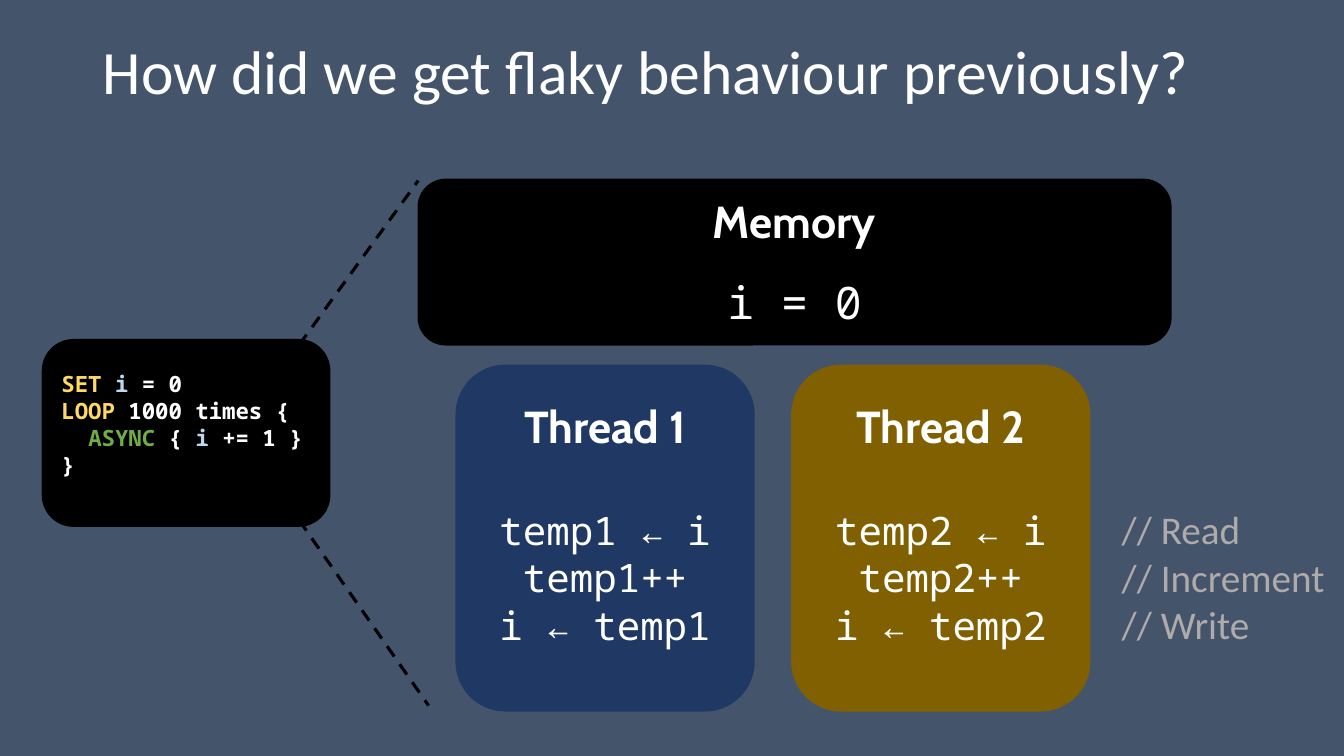
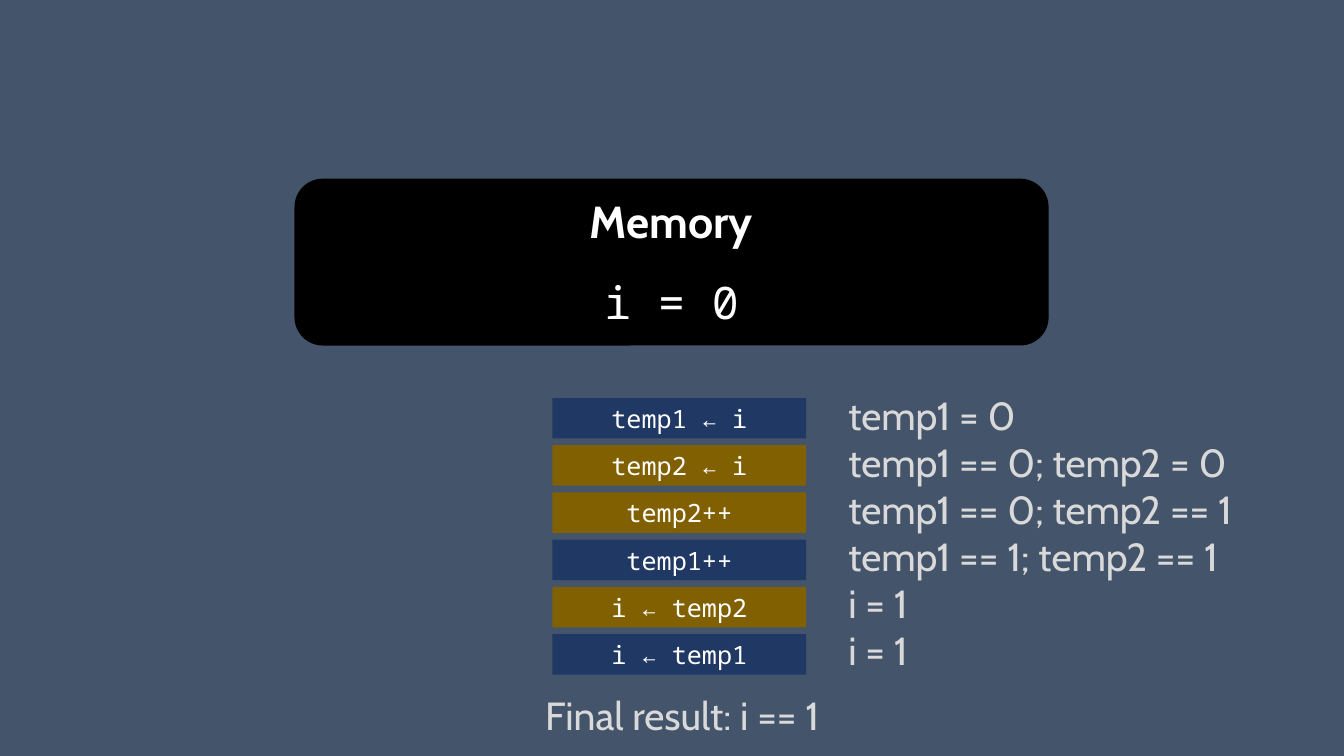
import pptx
import pptx.util
import pptx.dml.color
import pptx.enum.dml
import pptx.enum.shapes
import pptx.enum.text
import pptx.oxml.ns
import lxml.etree

Cm = pptx.util.Cm
Pt = pptx.util.Pt
KIND = pptx.enum.shapes.MSO_SHAPE
ALIGN = pptx.enum.text.PP_ALIGN
ANCHOR = pptx.enum.text.MSO_ANCHOR

COLORS = {
    "back": "44546A", "black": "000000", "white": "FFFFFF",
    "blue": "203864", "gold": "806000", "note": "AFABAB",
    "pale": "D9D9D9", "key": "FFD966", "name": "BDD7EE", "async": "70AD47",
}
HEAD, BODY, CODE = "Cabin", "Calibri", "Noto Sans Mono"


def color(name):
    return pptx.dml.color.RGBColor.from_string(COLORS[name])


def style(item, face, size, tint="white", bold=False):
    for run in item.runs:
        run.font.name = face
        run.font.size = Pt(size)
        run.font.bold = bold
        run.font.color.rgb = color(tint)


def label(slide, box, text, face, size, tint):
    frame = slide.shapes.add_textbox(*map(Cm, box)).text_frame
    frame.word_wrap = True
    frame.text = text
    for item in frame.paragraphs:
        style(item, face, size, tint)
    return frame


def title(slide, box, text):
    frame = label(slide, box, text, BODY, 44, "white")
    frame.vertical_anchor = ANCHOR.MIDDLE
    frame.paragraphs[0].line_spacing = 0.9


def block(slide, box, kind, tint, inset=0.13):
    shape = slide.shapes.add_shape(kind, *map(Cm, box))
    shape.shadow.inherit = False
    shape.fill.solid()
    shape.fill.fore_color.rgb = color(tint)
    if tint == "black":
        shape.line.color.rgb = color(tint)
        shape.line.width = Pt(1)
    else:
        shape.line.fill.background()
    frame = shape.text_frame
    frame.word_wrap = True
    frame.vertical_anchor = ANCHOR.TOP
    frame.margin_top = Cm(inset)
    return frame


def panel(slide, box, tint, inset, head, lines, size, gap):
    frame = block(slide, box, KIND.ROUNDED_RECTANGLE, tint, inset)
    frame.text = "\n".join([head, *lines])
    for item in frame.paragraphs:
        item.alignment = ALIGN.CENTER
        style(item, CODE, size)
    style(frame.paragraphs[0], HEAD, 32, bold=True)
    frame.paragraphs[1].space_before = Pt(gap)


def memory(slide, left, top):
    panel(slide, (left, top, 18.97, 4.17), "black", 0.17,
          "Memory", ["i = 0"], 32, 19)


def threads(slide, left, top):
    wide, high, step = 7.54, 8.74, 8.46
    for num, tint in enumerate(("blue", "gold")):
        temp = f"temp{num + 1}"
        panel(slide, (left + num * step, top, wide, high), tint, 0.48,
              f"Thread {num + 1}",
              [f"{temp} ← i", f"{temp}++", f"i ← {temp}"], 28, 39)
    label(slide, (left + 2 * step - 0.38, top + 3.43, 5.84, 3.84),
          "// Read\n// Increment\n// Write", BODY, 28, "note")


def zoom(slide, start, end):
    line = slide.shapes.add_connector(
        pptx.enum.shapes.MSO_CONNECTOR.STRAIGHT, *map(Cm, start + end))
    line.line.color.rgb = color("black")
    line.line.width = Pt(2.25)
    line.line.dash_style = pptx.enum.dml.MSO_LINE.DASH
    props = line.element.find(pptx.oxml.ns.qn("p:spPr"))
    lxml.etree.SubElement(props, pptx.oxml.ns.qn("a:effectLst"))


def source(slide, left, top):
    frame = block(slide, (left, top, 7.24, 4.7),
                  KIND.ROUNDED_RECTANGLE, "black", 0.55)
    lines = [
        [("SET ", "key"), ("i", "name"), (" = 0", "white")],
        [("LOOP", "key"), (" 1000 times {", "white")],
        [("ASYNC", "async"), (" { ", "white"), ("i", "name"),
         (" += 1 }", "white")],
        [("}", "white")],
    ]
    for num, parts in enumerate(lines):
        item = frame.add_paragraph() if num else frame.paragraphs[0]
        item.alignment = ALIGN.LEFT
        for text, tint in parts:
            item.add_run().text = text
        style(item, CODE, 16, bold=True)
        for run, (text, tint) in zip(item.runs, parts):
            run.font.color.rgb = color(tint)
    inner = frame.paragraphs[2].runs[0].font
    pad = Pt(2 * 0.6 * inner.size.pt)
    frame.paragraphs[2].alignment = ALIGN.LEFT
    props = frame.paragraphs[2]._p.get_or_add_pPr()
    props.set("marL", str(int(pad)))
    edge = left + 6.47
    zoom(slide, (edge, top + 0.13), (left + 9.47, top - 4.01))
    zoom(slide, (edge, top + 4.55), (left + 9.73, top + 9.22))


def steps(slide, left, top):
    rows = [
        ("temp1 ← i", "blue", "temp1 = 0"),
        ("temp2 ← i", "gold", "temp1 == 0; temp2 = 0"),
        ("temp2++", "gold", "temp1 == 0; temp2 == 1"),
        ("temp1++", "blue", "temp1 == 1; temp2 == 1"),
        ("i ← temp2", "gold", "i = 1"),
        ("i ← temp1", "blue", "i = 1"),
    ]
    label(slide, (left + 7.21, top - 0.3, 10.54, 7.44),
          "\n".join(row[2] for row in rows), HEAD, 28, "pale")
    for num, (text, tint, state) in enumerate(rows):
        frame = block(slide, (left, top + num * 1.19, 6.4, 1.02),
                      KIND.RECTANGLE, tint)
        frame.text = text
        frame.paragraphs[0].alignment = ALIGN.CENTER
        style(frame.paragraphs[0], CODE, 18)
    label(slide, (left - 0.43, top + 7.27, 7.8, 1.45),
          "Final result: i == 1", HEAD, 28, "pale")


def main():
    deck = pptx.Presentation()
    deck.slide_width, deck.slide_height = Cm(33.87), Cm(19.05)
    fill = deck.slide_master.background.fill
    fill.solid()
    fill.fore_color.rgb = color("back")
    blank = deck.slide_layouts[6]

    first = deck.slides.add_slide(blank)
    title(first, (2.34, 0.03, 29.21, 3.68),
          "How did we get flaky behaviour previously?")
    memory(first, 10.54, 4.52)
    threads(first, 11.48, 9.19)
    source(first, 1.07, 8.56)

    second = deck.slides.add_slide(blank)
    memory(second, 7.44, 4.52)
    steps(second, 13.92, 10.03)

    deck.save("out.pptx")


if __name__ == "__main__":
    main()
